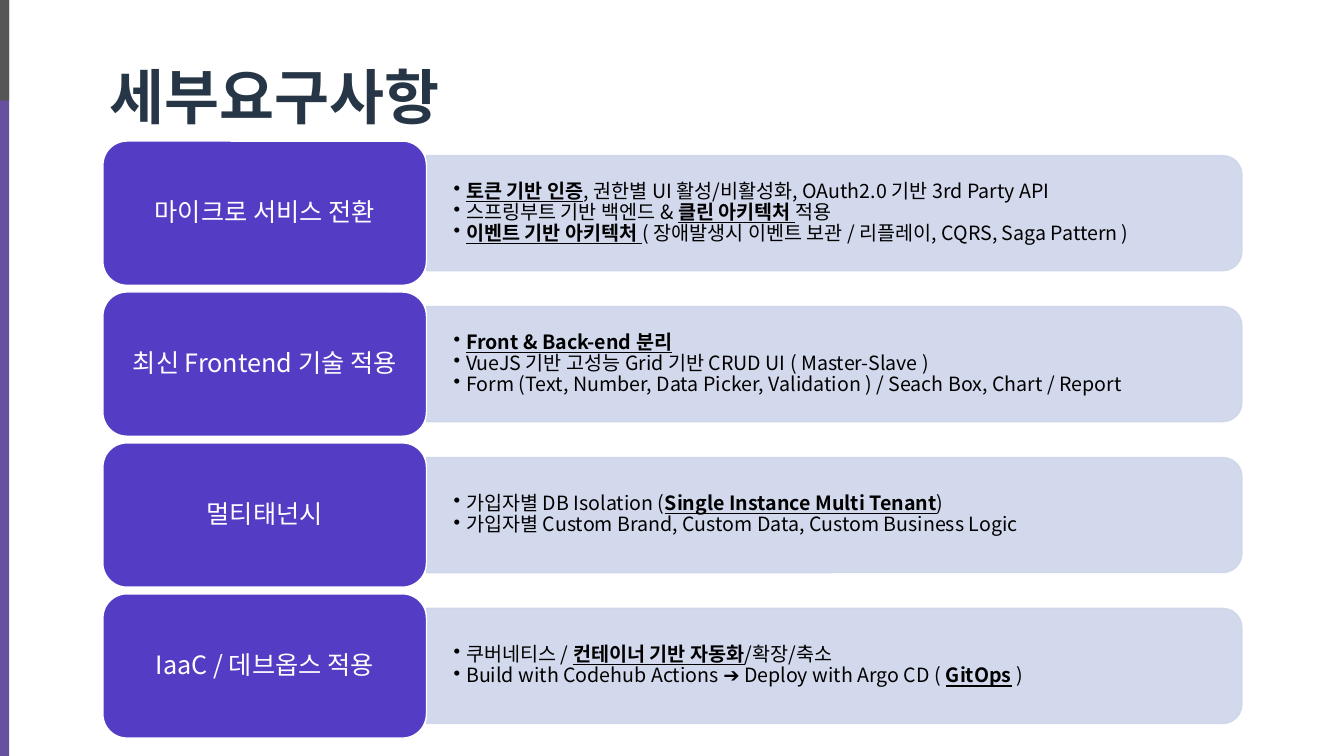
from dataclasses import dataclass

from lxml.etree import SubElement
from pptx import Presentation
from pptx.dml.color import RGBColor
from pptx.enum.shapes import MSO_SHAPE
from pptx.enum.text import MSO_ANCHOR, PP_ALIGN
from pptx.oxml.ns import qn
from pptx.util import Pt


@dataclass(frozen=True)
class Theme:
    purple: str = "553CC4"
    panel: str = "CFD5EA"
    bar: str = "67519E"
    bar_cap: str = "575656"
    title: str = "273646"
    black: str = "000000"
    white: str = "FFFFFF"
    title_font: str = "Calibri"
    body_font: str = "Noto Sans CJK KR"
    title_size: float = 42.7
    label_size: float = 18
    bullet_size: float = 14
    line_spacing: float = 0.9


@dataclass(frozen=True)
class Box:
    left: float
    top: float
    width: float
    height: float

    def lengths(self):
        return [Pt(value) for value in (self.left, self.top, self.width, self.height)]


THEME = Theme()
SLIDE_WIDTH, SLIDE_HEIGHT = 960, 540
FIRST_ROW = Box(73.5, 100.8, 813.6, 103)
ROW_PITCH = 107.8
LABEL_WIDTH = 231.1
PANEL_HEIGHT = 82.2

# Each bullet is a list of (text, emphasised) runs.
REQUIREMENTS = [
    ("마이크로 서비스 전환", [
        [("토큰 기반 인증", True),
         (", 권한별 UI 활성/비활성화, OAuth2.0 기반 3rd Party API", False)],
        [("스프링부트 기반 백엔드 & ", False), ("클린 아키텍처 ", True), ("적용", False)],
        [("이벤트 기반 아키텍처 ", True),
         ("( 장애발생시 이벤트 보관 / 리플레이, CQRS, Saga Pattern )", False)],
    ]),
    ("최신 Frontend 기술 적용", [
        [("Front & Back-end 분리", True)],
        [("VueJS 기반 고성능 Grid 기반 CRUD UI ( Master-Slave )", False)],
        [("Form (Text, Number, Data Picker, Validation ) / Seach Box, Chart / Report", False)],
    ]),
    ("멀티태넌시", [
        [("가입자별 DB Isolation (", False), ("Single Instance Multi Tenant", True), (")", False)],
        [("가입자별 Custom Brand, Custom Data, Custom Business Logic", False)],
    ]),
    ("IaaC / 데브옵스 적용", [
        [("쿠버네티스 / ", False), ("컨테이너 기반 자동화", True), ("/확장/축소", False)],
        [("Build with Codehub Actions ➔ Deploy with Argo CD ( ", False),
         ("GitOps", True), (" )", False)],
    ]),
]


def add_run(paragraph, text, size, color, font_name=THEME.body_font, bold=False, underline=False):
    run = paragraph.add_run()
    run.text = text
    font = run.font
    font.name = font_name
    font.size = Pt(size)
    font.bold = bold
    font.underline = underline
    font.color.rgb = RGBColor.from_string(color)
    SubElement(font._element, qn("a:ea")).set("typeface", THEME.body_font)


def add_filled_shape(slide, kind, box, fill, line=None):
    shape = slide.shapes.add_shape(kind, *box.lengths())
    shape.shadow.inherit = False
    shape.fill.solid()
    shape.fill.fore_color.rgb = RGBColor.from_string(fill)
    if line:
        shape.line.color.rgb = RGBColor.from_string(line)
        shape.line.width = Pt(1)
    else:
        shape.line.fill.background()
    return shape


def set_frame(frame, horizontal, vertical):
    """Wrap and centre the text vertically inside the given insets."""
    frame.word_wrap = True
    frame.vertical_anchor = MSO_ANCHOR.MIDDLE
    frame.margin_left = frame.margin_right = Pt(horizontal)
    frame.margin_top = frame.margin_bottom = Pt(vertical)


def add_side_bar(slide, box):
    add_filled_shape(slide, MSO_SHAPE.RECTANGLE, box, THEME.bar)
    cap = Box(box.left, box.top, box.width, 72)
    add_filled_shape(slide, MSO_SHAPE.RECTANGLE, cap, THEME.bar_cap)


def add_title(slide, box, text):
    title = slide.shapes.title
    title.left, title.top, title.width, title.height = box.lengths()
    set_frame(title.text_frame, 7.2, 3.6)
    paragraph = title.text_frame.paragraphs[0]
    paragraph.alignment = PP_ALIGN.LEFT
    paragraph.line_spacing = THEME.line_spacing
    add_run(paragraph, text, THEME.title_size, THEME.title, THEME.title_font, bold=True)


def add_panel(slide, box):
    """Draw a translucent panel rounded on the right: a top-rounded shape turned by 90 degrees."""
    upright = Box(box.left + (box.width - box.height) / 2,
                  box.top + (box.height - box.width) / 2, box.height, box.width)
    panel = add_filled_shape(slide, MSO_SHAPE.ROUND_2_SAME_RECTANGLE, upright,
                             THEME.panel, THEME.panel)
    panel.rotation = 90
    for color in panel.element.spPr.iter(qn("a:srgbClr")):
        SubElement(color, qn("a:alpha")).set("val", "90000")


def add_bullets(slide, box, bullets):
    frame = slide.shapes.add_textbox(*box.lengths()).text_frame
    set_frame(frame, 19.4, 10)
    for index, runs in enumerate(bullets):
        paragraph = frame.add_paragraph() if index else frame.paragraphs[0]
        paragraph.level = 1
        properties = paragraph._p.get_or_add_pPr()
        properties.set("marL", str(Pt(9)))
        properties.set("indent", str(-Pt(9)))
        SubElement(properties, qn("a:buChar")).set("char", "•")
        paragraph.line_spacing = THEME.line_spacing
        for text, emphasised in runs:
            add_run(paragraph, text, THEME.bullet_size, THEME.black,
                    bold=emphasised, underline=emphasised)


def add_label(slide, box, text):
    label = add_filled_shape(slide, MSO_SHAPE.ROUNDED_RECTANGLE, box, THEME.purple, THEME.white)
    set_frame(label.text_frame, 5, 3)
    paragraph = label.text_frame.paragraphs[0]
    paragraph.alignment = PP_ALIGN.CENTER
    paragraph.line_spacing = THEME.line_spacing
    add_run(paragraph, text, THEME.label_size, THEME.white)


def add_requirement(slide, box, label, bullets):
    panel = Box(box.left + LABEL_WIDTH, box.top + (box.height - PANEL_HEIGHT) / 2,
                box.width - LABEL_WIDTH, PANEL_HEIGHT)
    add_panel(slide, panel)
    add_bullets(slide, Box(panel.left, panel.top + 4, panel.width - 4, panel.height - 8), bullets)
    add_label(slide, Box(box.left, box.top, LABEL_WIDTH, box.height), label)


def main():
    presentation = Presentation()
    presentation.slide_width, presentation.slide_height = Pt(SLIDE_WIDTH), Pt(SLIDE_HEIGHT)
    slide = presentation.slides.add_slide(presentation.slide_layouts[5])
    add_side_bar(slide, Box(0, 0, 6.5, SLIDE_HEIGHT))
    add_title(slide, Box(71.3, 42.5, 822.2, 57.6), "세부요구사항")
    for index, (label, bullets) in enumerate(REQUIREMENTS):
        row = Box(FIRST_ROW.left, FIRST_ROW.top + index * ROW_PITCH,
                  FIRST_ROW.width, FIRST_ROW.height)
        add_requirement(slide, row, label, bullets)
    presentation.save("out.pptx")


if __name__ == "__main__":
    main()
